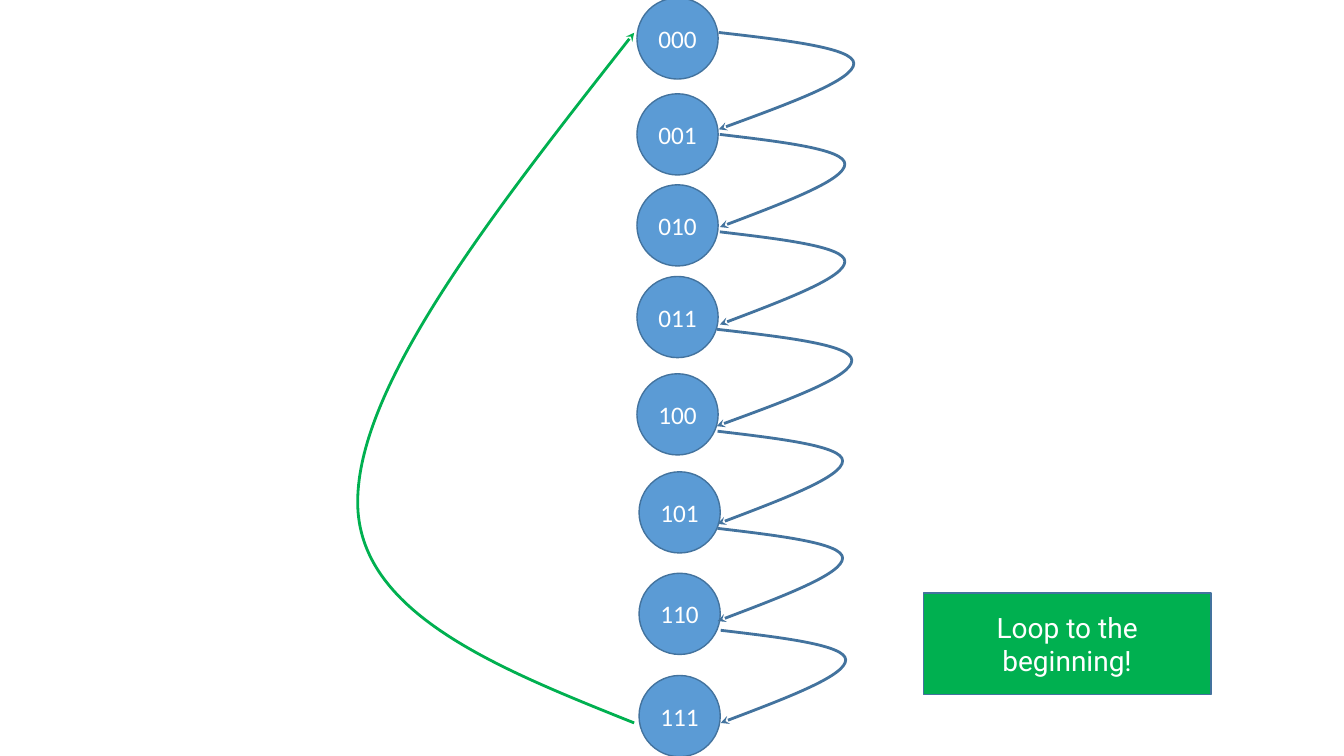
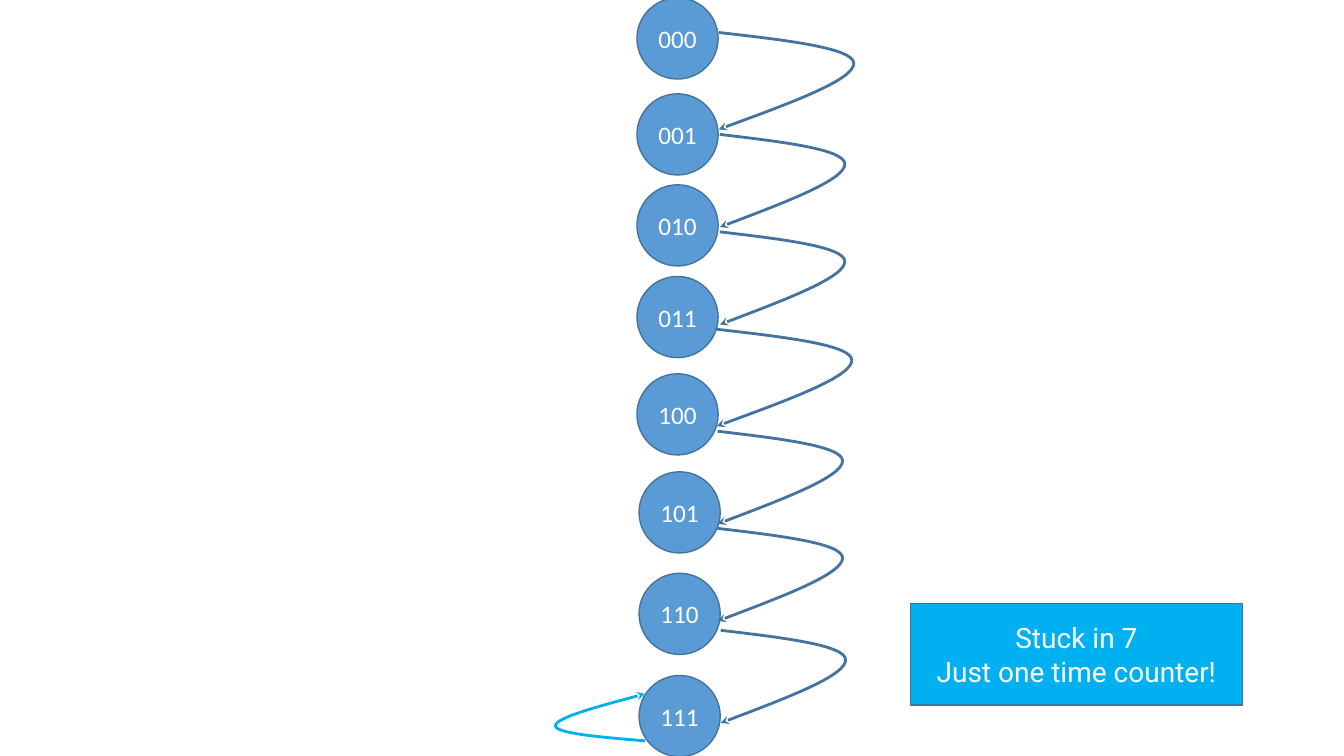
"""Build two slides of three-bit counters: one that loops and one that stops at 111."""
from lxml import etree
from pptx import Presentation
from pptx.dml.color import RGBColor
from pptx.enum.shapes import MSO_SHAPE
from pptx.enum.text import MSO_ANCHOR, PP_ALIGN
from pptx.oxml.ns import qn
from pptx.util import Pt

ELLIPSE, RECTANGLE = MSO_SHAPE.OVAL, MSO_SHAPE.RECTANGLE
MIDDLE, CENTER = MSO_ANCHOR.MIDDLE, PP_ALIGN.CENTER

WHITE = RGBColor(0xFF, 0xFF, 0xFF)
BLUE = RGBColor(0x5B, 0x9B, 0xD5)
EDGE_BLUE = RGBColor(0x43, 0x73, 0x9E)
GREEN = RGBColor(0x00, 0xB0, 0x50)
CYAN = RGBColor(0x00, 0xB0, 0xF0)

STATE_SIZE = 58
STATES = [
    (455, -1.5), (455, 67), (455, 132), (455, 197.5),
    (455, 267), (456.5, 337), (456.5, 409.5), (456.5, 482.5),
]

WIDE, NARROW = (96.5, 69.2), (89.3, 66.2)
STEPS = [
    (513.4, 23.2, WIDE), (514.2, 96, NARROW), (514.2, 165.6, NARROW),
    (512, 235.2, WIDE), (512.6, 308, NARROW), (512.6, 377.4, NARROW),
    (514.8, 450.2, NARROW),
]
BEND = 0.32
FIRST_CURVE = [(0.5, 0.25), (1, 0.5), (1, 1)]
SECOND_CURVE = [(0, 0.25), (0.5, 0.625), (1, 1)]

COUNTERS = [
    {"color": GREEN, "back": (453, 516.4, (-197.5, -493)),
     "note": ["Loop to the beginning!"], "box": (659.5, 423.5, 205.5, 72.5)},
    {"color": CYAN, "back": (460.8, 529.2, (-64, -33.6)),
     "note": ["Stuck in 7", "Just one time counter!"], "box": (650.2, 431, 237.5, 72.5)},
]


def add_label(slide, shape_kind, box, fill, lines, font_name, size, inset=None):
    shape = slide.shapes.add_shape(shape_kind, *map(Pt, box))
    shape.shadow.inherit = False
    shape.fill.solid()
    shape.fill.fore_color.rgb = fill
    shape.line.color.rgb = EDGE_BLUE
    shape.line.width = Pt(1)
    frame = shape.text_frame
    frame.word_wrap = True
    frame.vertical_anchor = MIDDLE
    if inset is not None:
        frame.margin_left = frame.margin_right = Pt(inset)
        frame.margin_top = frame.margin_bottom = Pt(inset)
    frame.text = "\n".join(lines)
    for paragraph in frame.paragraphs:
        paragraph.alignment = CENTER
        paragraph.font.name = font_name
        paragraph.font.size = Pt(size)
        paragraph.font.color.rgb = WHITE


def bend_segments(arrow):
    """Turn the two straight segments into curves meeting at the bend."""
    points = [(int(p.get("x")), int(p.get("y"))) for p in arrow._element.iter(qn("a:pt"))]
    segments = list(arrow._element.iter(qn("a:lnTo")))
    curves = zip(segments, points, points[1:], (FIRST_CURVE, SECOND_CURVE))
    for segment, (x0, y0), (x1, y1), controls in curves:
        curve = etree.Element(qn("a:cubicBezTo"))
        for across, down in controls:
            etree.SubElement(curve, qn("a:pt"), x=str(round(x0 + across * (x1 - x0))),
                             y=str(round(y0 + down * (y1 - y0))))
        segment.getparent().replace(segment, curve)


def add_arrow(slide, x, y, extent, color):
    reach, drop = extent
    builder = slide.shapes.build_freeform(Pt(x), Pt(y))
    builder.add_line_segments(
        [(Pt(x + reach), Pt(y + BEND * drop)), (Pt(x), Pt(y + drop))], close=False)
    arrow = builder.convert_to_shape()
    bend_segments(arrow)
    arrow.shadow.inherit = False
    arrow.fill.background()
    arrow.line.color.rgb = color
    arrow.line.width = Pt(2)
    etree.SubElement(arrow.line._get_or_add_ln(), qn("a:tailEnd"), type="stealth")


def add_counter(presentation, counter):
    slide = presentation.slides.add_slide(presentation.slide_layouts[6])
    for number, (left, top) in enumerate(STATES):
        add_label(slide, ELLIPSE, (left, top, STATE_SIZE, STATE_SIZE), BLUE,
                  [f"{number:03b}"], "Calibri", 18, inset=0)
    for step in STEPS:
        add_arrow(slide, *step, EDGE_BLUE)
    add_arrow(slide, *counter["back"], counter["color"])
    add_label(slide, RECTANGLE, counter["box"], counter["color"],
              counter["note"], "Roboto", 20)


def main():
    presentation = Presentation()
    presentation.slide_width, presentation.slide_height = Pt(960), Pt(540)
    for counter in COUNTERS:
        add_counter(presentation, counter)
    presentation.save("out.pptx")


if __name__ == "__main__":
    main()
